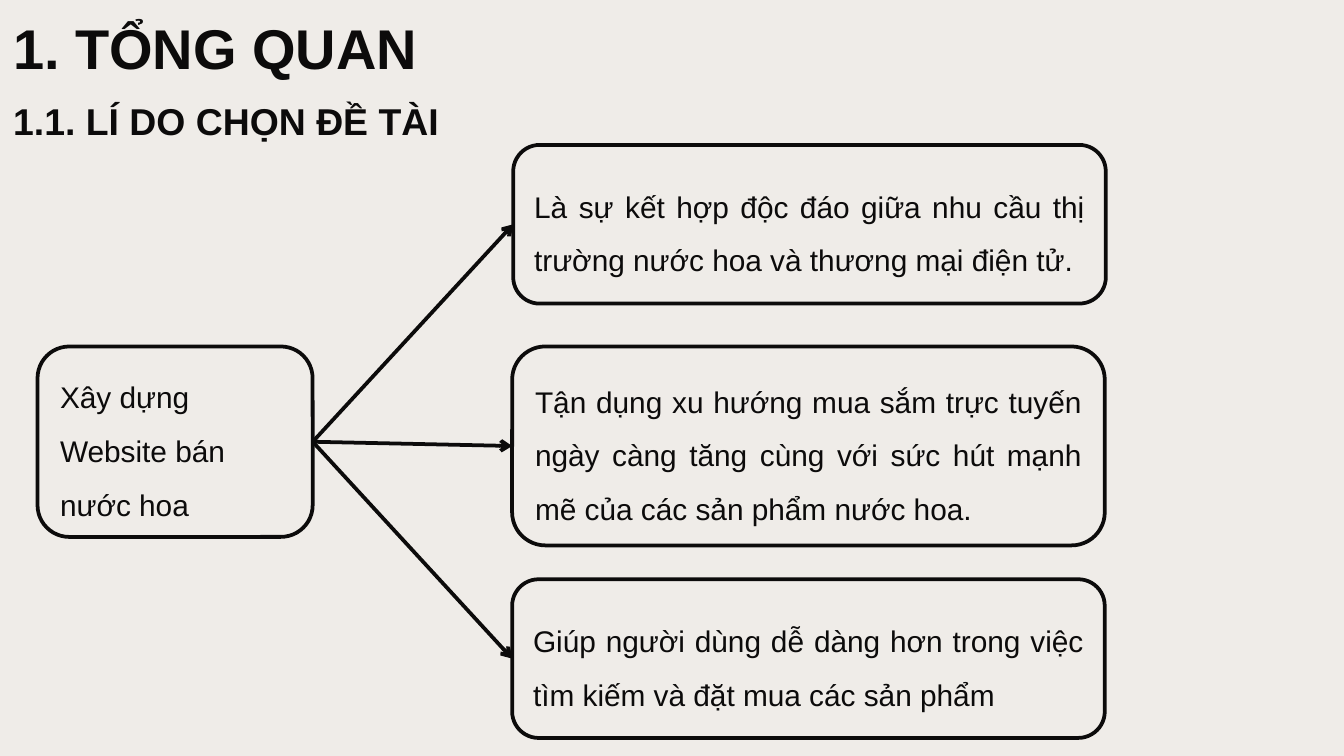
"""Build the overview slide: one project box with arrows to three reasons."""
from typing import NamedTuple

from lxml.etree import SubElement
from pptx import Presentation
from pptx.dml.color import RGBColor
from pptx.enum.shapes import MSO_CONNECTOR as Connector, MSO_SHAPE as Shape
from pptx.enum.text import MSO_ANCHOR as Anchor, PP_ALIGN as Align
from pptx.oxml.ns import qn
from pptx.util import Cm, Pt

INK = RGBColor(0x0C, 0x0B, 0x0B)
PAPER = RGBColor(0xEF, 0xEC, 0xE8)
FONT = "Arial"
LINE_WIDTH = Pt(2)
LEFT_SITE, RIGHT_SITE = 1, 3


class Block(NamedTuple):
    """Text with its place in centimetres."""
    text: str
    left: float
    top: float
    width: float
    height: float


TITLE = Block("1. TỔNG QUAN", 0, 0, 9.45, 1.6)
SUBTITLE = Block("1.1. LÍ DO CHỌN ĐỀ TÀI", 0, 1.6, 25.4, 1.6)
PROJECT = Block("Xây dựng\nWebsite bán\nnước hoa", 0.71, 6.55, 5.2, 3.6)
REASONS = [
    Block("Là sự kết hợp độc đáo giữa nhu cầu thị trường nước hoa và thương mại điện tử.",
          9.7, 2.74, 11.2, 3),
    Block("Tận dụng xu hướng mua sắm trực tuyến ngày càng tăng cùng với sức hút "
          "mạnh mẽ của các sản phẩm nước hoa.", 9.68, 6.55, 11.2, 3.76),
    Block("Giúp người dùng dễ dàng hơn trong việc tìm kiếm và đặt mua các sản phẩm",
          9.68, 10.95, 11.2, 3),
]


def place(block: Block) -> tuple:
    """Return the position and size of a block as lengths."""
    return tuple(Cm(value) for value in block[1:])


def write_text(shape, text: str, *, size: int, bold: bool = False,
               align=Align.LEFT, anchor=Anchor.TOP, spacing: float = 1.0) -> None:
    """Write text into a shape, one paragraph for each line."""
    frame = shape.text_frame
    frame.word_wrap = True
    frame.vertical_anchor = anchor
    frame.text = text
    for paragraph in frame.paragraphs:
        paragraph.alignment = align
        paragraph.line_spacing = spacing
        font = paragraph.runs[0].font
        font.name, font.size, font.bold = FONT, Pt(size), bold
        font.color.rgb = INK


def add_heading(slide, block: Block, size: int) -> None:
    """Add a bold heading."""
    shape = slide.shapes.add_textbox(*place(block))
    frame = shape.text_frame
    frame.margin_top = frame.margin_bottom = Cm(0.25)
    write_text(shape, block.text, size=size, bold=True)


def add_box(slide, block: Block):
    """Add an outlined rounded box with justified text."""
    shape = slide.shapes.add_shape(Shape.ROUNDED_RECTANGLE, *place(block))
    shape.shadow.inherit = False
    shape.fill.background()
    shape.line.color.rgb = INK
    shape.line.width = LINE_WIDTH
    write_text(shape, block.text, size=16, align=Align.JUSTIFY,
               anchor=Anchor.MIDDLE, spacing=1.5)
    return shape


def add_arrow(slide, source, target) -> None:
    """Connect the right side of one box to the left side of another."""
    arrow = slide.shapes.add_connector(Connector.STRAIGHT, 0, 0, 0, 0)
    arrow.begin_connect(source, RIGHT_SITE)
    arrow.end_connect(target, LEFT_SITE)
    arrow.line.color.rgb = INK
    arrow.line.width = LINE_WIDTH
    properties = arrow._element.spPr
    SubElement(properties.find(qn("a:ln")), qn("a:tailEnd"), type="arrow")
    SubElement(properties, qn("a:effectLst"))


def main() -> None:
    """Build and save the presentation."""
    presentation = Presentation()
    presentation.slide_width, presentation.slide_height = Cm(25.4), Cm(14.29)
    slide = presentation.slides.add_slide(presentation.slide_layouts[6])
    slide.background.fill.solid()
    slide.background.fill.fore_color.rgb = PAPER
    add_heading(slide, TITLE, 30)
    add_heading(slide, SUBTITLE, 20)
    project = add_box(slide, PROJECT)
    reasons = [add_box(slide, block) for block in REASONS]
    for reason in reasons:
        add_arrow(slide, project, reason)
    presentation.save("out.pptx")


if __name__ == "__main__":
    main()
